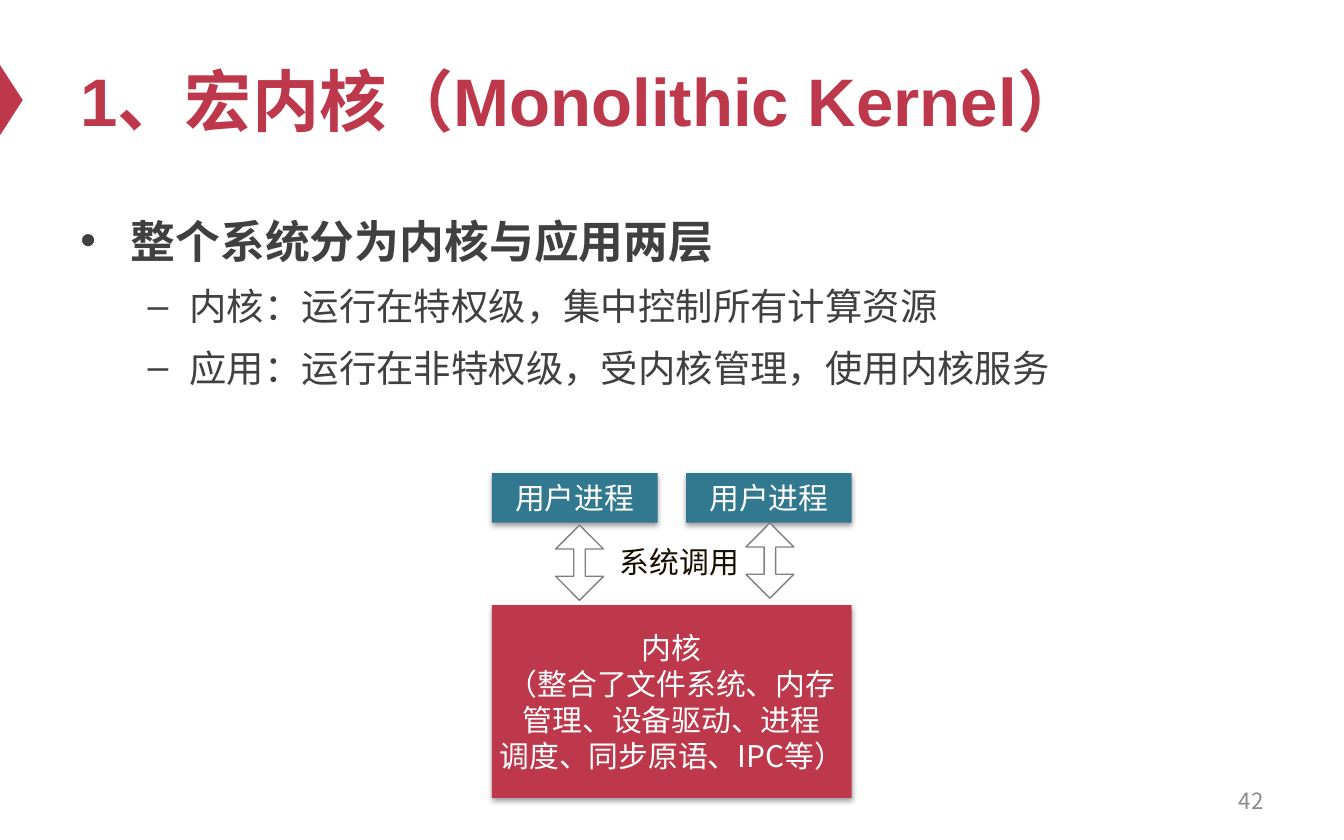
from lxml.etree import SubElement
from pptx import Presentation
from pptx.dml.color import RGBColor
from pptx.enum.shapes import MSO_SHAPE as Shape
from pptx.enum.text import MSO_ANCHOR as Anchor, PP_ALIGN as Align
from pptx.oxml.ns import qn
from pptx.util import Pt

RED, TEAL, WHITE, GRAY = "BE384B", "32788E", "FFFFFF", "404040"
LATIN, CJK = "Arial", "Noto Sans CJK SC"


def color(hex_code):
    """Turn a hex string into a colour."""
    return RGBColor.from_string(hex_code)


def add_shadow(properties, blur, distance, opacity):
    """Append a black shadow that falls straight down."""
    effects = properties.find(qn("a:effectLst"))
    if effects is None:
        effects = SubElement(properties, qn("a:effectLst"))
    shadow = SubElement(effects, qn("a:outerShdw"), blurRad=str(Pt(blur)),
                        dist=str(Pt(distance)), dir="5400000", rotWithShape="0")
    black = SubElement(shadow, qn("a:srgbClr"), val="000000")
    SubElement(black, qn("a:alpha"), val=str(opacity * 1000))


def add_run(paragraph, words, size, ink, font=CJK, bold=False, shadowed=False):
    """Add one formatted run with its East Asian font."""
    run = paragraph.add_run()
    run.text = words
    run.font.size = Pt(size)
    run.font.bold = bold
    run.font.color.rgb = color(ink)
    properties = run.font._element
    if shadowed:
        add_shadow(properties, 3, 2, 43)
    run.font.name = font
    east_asian = properties.makeelement(qn("a:ea"), {"typeface": CJK})
    properties.find(qn("a:latin")).addnext(east_asian)


def add_lines(paragraph, lines, size, ink, **style):
    """Add runs parted by line breaks."""
    for number, words in enumerate(lines):
        if number:
            paragraph.add_line_break()
        add_run(paragraph, words, size, ink, **style)


def add_text_box(slide, place, anchor=Anchor.TOP):
    """Add a wrapping text box and return its frame."""
    frame = slide.shapes.add_textbox(*map(Pt, place)).text_frame
    frame.word_wrap = True
    frame.vertical_anchor = anchor
    return frame


def add_label(slide, place, words, size, ink, align, anchor=Anchor.TOP, **style):
    """Add a text box that holds one line."""
    paragraph = add_text_box(slide, place, anchor).paragraphs[0]
    paragraph.alignment = align
    add_run(paragraph, words, size, ink, **style)


def add_figure(slide, kind, place, fill, outline=None):
    """Add a flat preset shape."""
    figure = slide.shapes.add_shape(kind, *map(Pt, place))
    figure.shadow.inherit = False
    figure.fill.solid()
    figure.fill.fore_color.rgb = color(fill)
    if outline:
        figure.line.color.rgb = color(outline)
        figure.line.width = Pt(0.75)
    else:
        figure.line.fill.background()
    return figure


def add_block(slide, place, fill, lines, wrap=True):
    """Add a shadowed block with centred white text."""
    block = add_figure(slide, Shape.RECTANGLE, place, fill)
    add_shadow(block._element.spPr, 3.1, 1.6, 38)
    frame = block.text_frame
    frame.word_wrap = wrap
    frame.vertical_anchor = Anchor.MIDDLE
    paragraph = frame.paragraphs[0]
    paragraph.alignment = Align.CENTER
    add_lines(paragraph, lines, 16, WHITE)


def add_arrow(slide, left, top):
    """Add a double-headed system call arrow."""
    arrow = add_figure(slide, Shape.UP_DOWN_ARROW, (left, top, 25.7, 40.3), WHITE, "808080")
    arrow.adjustments[0] = 0.5
    arrow.adjustments[1] = 0.24


def add_bullet(paragraph, level, mark, margin, hanging, before):
    """Give a paragraph its bullet, indent and spacing."""
    paragraph.level = level
    properties = paragraph._p.get_or_add_pPr()
    properties.set("marL", str(Pt(margin)))
    properties.set("indent", str(-Pt(hanging)))
    SubElement(properties, qn("a:buFont"), typeface=LATIN)
    SubElement(properties, qn("a:buChar"), char=mark)
    paragraph.line_spacing = 1.2
    paragraph.space_before = Pt(before)


def add_points(slide, place, heading, details):
    """Add the bold heading and the details under it."""
    frame = add_text_box(slide, place)
    first = frame.paragraphs[0]
    add_bullet(first, 0, "•", 27, 27, 0)
    add_run(first, heading, 24, GRAY, font=LATIN, bold=True)
    for detail in details:
        paragraph = frame.add_paragraph()
        add_bullet(paragraph, 1, "–", 58.5, 22.5, 4)
        add_run(paragraph, detail, 20, GRAY, font=LATIN)


def add_kernel_diagram(slide):
    """Draw user processes calling into the kernel."""
    for left in (263.5, 367.5):
        add_block(slide, (left, 253.5, 88.8, 26.6), TEAL, ["用户进程"])
    add_block(slide, (263.5, 324.2, 192.8, 103.2), RED,
              ["内核", "（整合了文件系统、内存", "管理、设备驱动、进程", "调度、同步原语、IPC等）"],
              wrap=False)
    add_arrow(slide, 399.6, 280.2)
    add_arrow(slide, 297.6, 281.3)
    add_label(slide, (310, 287.5, 108, 26.6), "系统调用", 16, "170D01",
              Align.CENTER, shadowed=True)


def main():
    """Build the monolithic kernel slide."""
    deck = Presentation()
    deck.slide_width, deck.slide_height = Pt(720), Pt(450)
    slide = deck.slides.add_slide(deck.slide_layouts[6])
    marker = add_figure(slide, Shape.ISOSCELES_TRIANGLE, (-13, 47.5, 38, 12.3), RED)
    marker.rotation = 90
    add_label(slide, (36, 18, 648, 70.6), "1、宏内核（Monolithic Kernel）", 36, RED,
              Align.LEFT, Anchor.MIDDLE, font=LATIN, bold=True)
    add_points(slide, (36, 105, 648, 296.6), "整个系统分为内核与应用两层",
               ["内核：运行在特权级，集中控制所有计算资源",
                "应用：运行在非特权级，受内核管理，使用内核服务"])
    add_kernel_diagram(slide)
    add_label(slide, (516, 417, 168, 24), "42", 12, "8C8C8C", Align.RIGHT, Anchor.MIDDLE)
    deck.save("out.pptx")


if __name__ == "__main__":
    main()
